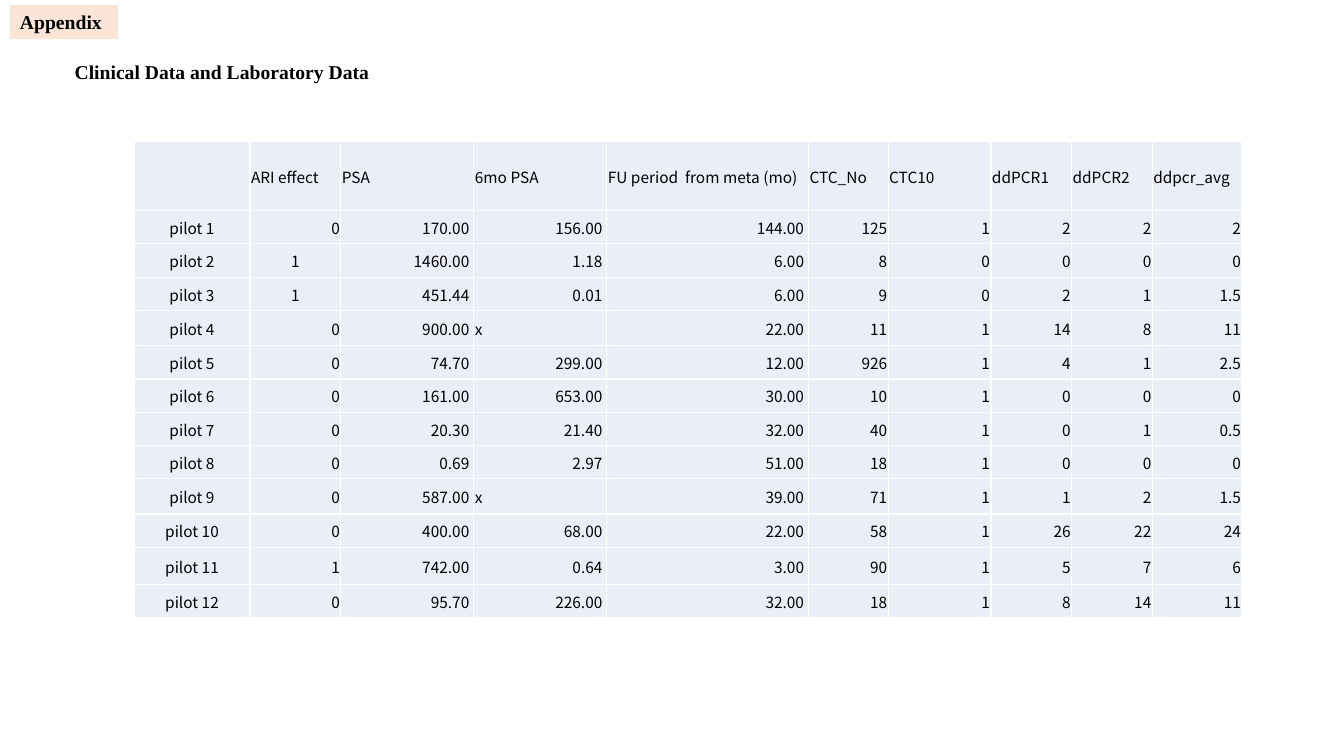
from lxml import etree
from pptx import Presentation
from pptx.dml.color import RGBColor
from pptx.enum import shapes, text
from pptx.oxml.ns import qn
from pptx.util import Inches, Pt


def color(value):
    return RGBColor.from_string(value)


def write(frame, words, font, size, align, bold=False):
    paragraph = frame.paragraphs[0]
    paragraph.alignment = align
    run = paragraph.add_run()
    run.text = words
    run.font.name = font
    run.font.size = Pt(size)
    run.font.bold = bold
    run.font.color.rgb = color("000000")


LEFT, CENTER, RIGHT = text.PP_ALIGN.LEFT, text.PP_ALIGN.CENTER, text.PP_ALIGN.RIGHT
SERIF, SANS = "Times New Roman", "Noto Sans CJK KR"

deck = Presentation()
deck.slide_width, deck.slide_height = Inches(13.33), Inches(7.5)
slide = deck.slides.add_slide(deck.slide_layouts[5])

# Heading
heading = slide.shapes.title
heading.left, heading.top = Inches(0.64), Inches(0.54)
heading.width, heading.height = Inches(3.24), Inches(0.34)
write(heading.text_frame, "Clinical Data and Laboratory Data", SERIF, 14, LEFT, bold=True)

# Appendix tag
appendix = slide.shapes.add_shape(
    shapes.MSO_SHAPE.RECTANGLE, Inches(0.1), Inches(0.05), Inches(1.07), Inches(0.34))
appendix.shadow.inherit = False
appendix.fill.solid()
appendix.fill.fore_color.rgb = color("FBE5D6")
appendix.line.fill.background()
write(appendix.text_frame, "Appendix", SERIF, 14, LEFT, bold=True)

for label in (heading, appendix):
    label.text_frame.word_wrap = False
    label.text_frame.auto_size = text.MSO_AUTO_SIZE.SHAPE_TO_FIT_TEXT
    label.text_frame.vertical_anchor = text.MSO_ANCHOR.TOP

# Patient data
headers = ["", "ARI effect", "PSA", "6mo PSA", "FU period  from meta (mo)",
           "CTC_No", "CTC10", "ddPCR1", "ddPCR2", "ddpcr_avg"]
patients = [
    "0 170.00 156.00 144.00 125 1 2 2 2",
    "1 1460.00 1.18 6.00 8 0 0 0 0",
    "1 451.44 0.01 6.00 9 0 2 1 1.5",
    "0 900.00 x 22.00 11 1 14 8 11",
    "0 74.70 299.00 12.00 926 1 4 1 2.5",
    "0 161.00 653.00 30.00 10 1 0 0 0",
    "0 20.30 21.40 32.00 40 1 0 1 0.5",
    "0 0.69 2.97 51.00 18 1 0 0 0",
    "0 587.00 x 39.00 71 1 1 2 1.5",
    "0 400.00 68.00 22.00 58 1 26 22 24",
    "1 742.00 0.64 3.00 90 1 5 7 6",
    "0 95.70 226.00 32.00 18 1 8 14 11",
]
rows = [headers] + [[f"pilot {n}"] + values.split() for n, values in enumerate(patients, 1)]
column_widths = [1.15, 0.9, 1.32, 1.32, 2, 0.79, 1.02, 0.8, 0.8, 0.89]
row_heights = {0: 0.69, 4: 0.35, 9: 0.35, 11: 0.37}
centered_effects = {2, 3}

# Table grid
results = slide.shapes.add_table(
    len(rows), len(headers), Inches(1.33), Inches(1.4), Inches(10.98), Inches(4.68)).table
results.first_row = results.horz_banding = False
for column, width in zip(results.columns, column_widths):
    column.width = Inches(width)

for r, row in enumerate(rows):
    results.rows[r].height = Inches(row_heights.get(r, 0.33))
    for c, value in enumerate(row):
        cell = results.cell(r, c)
        cell.vertical_anchor = text.MSO_ANCHOR.MIDDLE
        cell.margin_left = cell.margin_right = cell.margin_top = Inches(0.01)
        cell.margin_bottom = 0

        # White borders come before the fill in the cell properties
        properties = cell._tc.get_or_add_tcPr()
        for side in ("a:lnL", "a:lnR", "a:lnT", "a:lnB"):
            border = etree.SubElement(properties, qn(side), w=str(Pt(1)))
            paint = etree.SubElement(border, qn("a:solidFill"))
            etree.SubElement(paint, qn("a:srgbClr"), val="FFFFFF")
        cell.fill.solid()
        cell.fill.fore_color.rgb = color("EAEFF7")

        # Measured values with two decimals keep a trailing space
        if r == 0 or value == "x":
            align = LEFT
        elif c == 0 or (c == 1 and r in centered_effects):
            align = CENTER
        else:
            align = RIGHT
            if 2 <= c <= 4:
                value += " "
        if value:
            write(cell.text_frame, value, SANS, 11, align)

deck.save("out.pptx")
